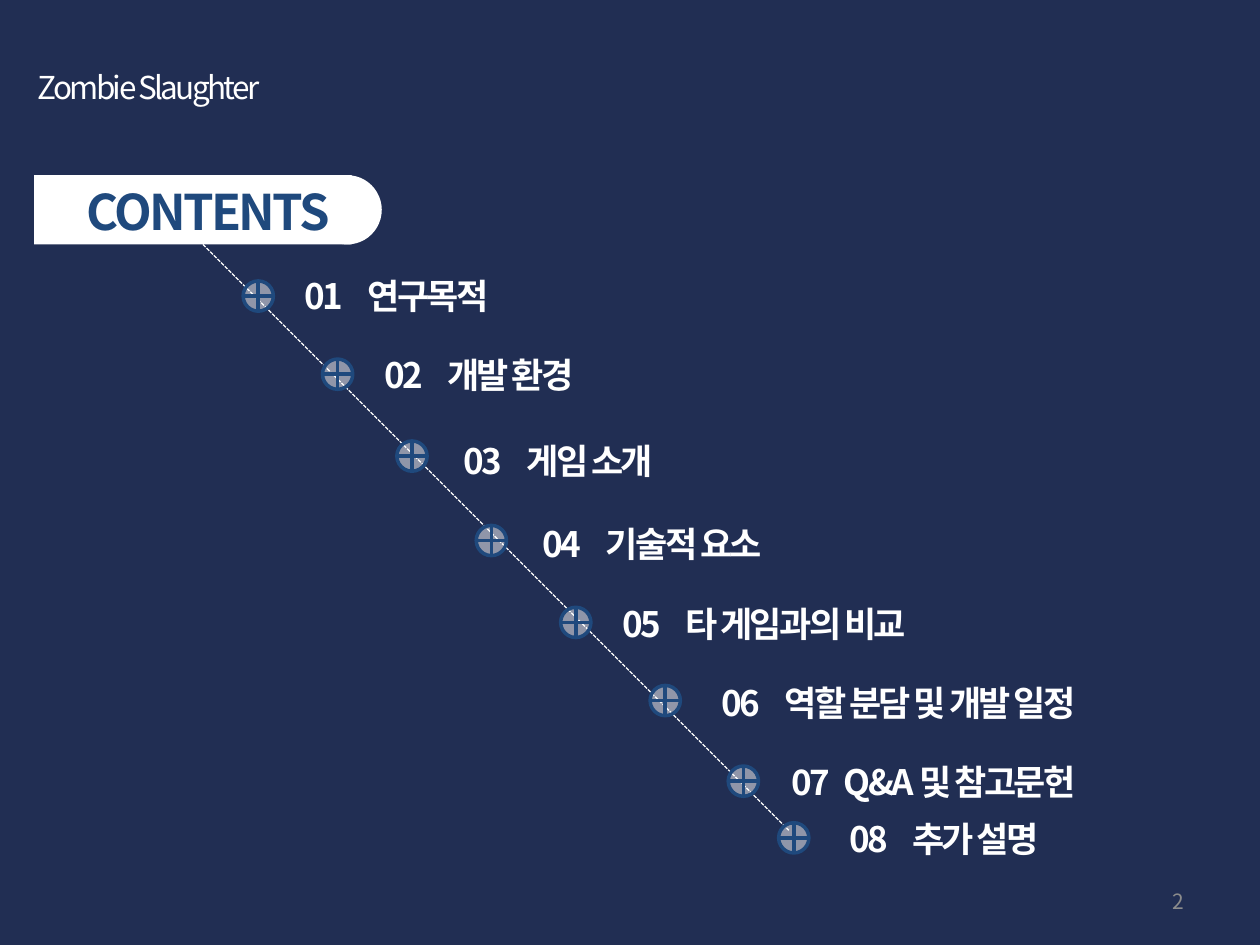
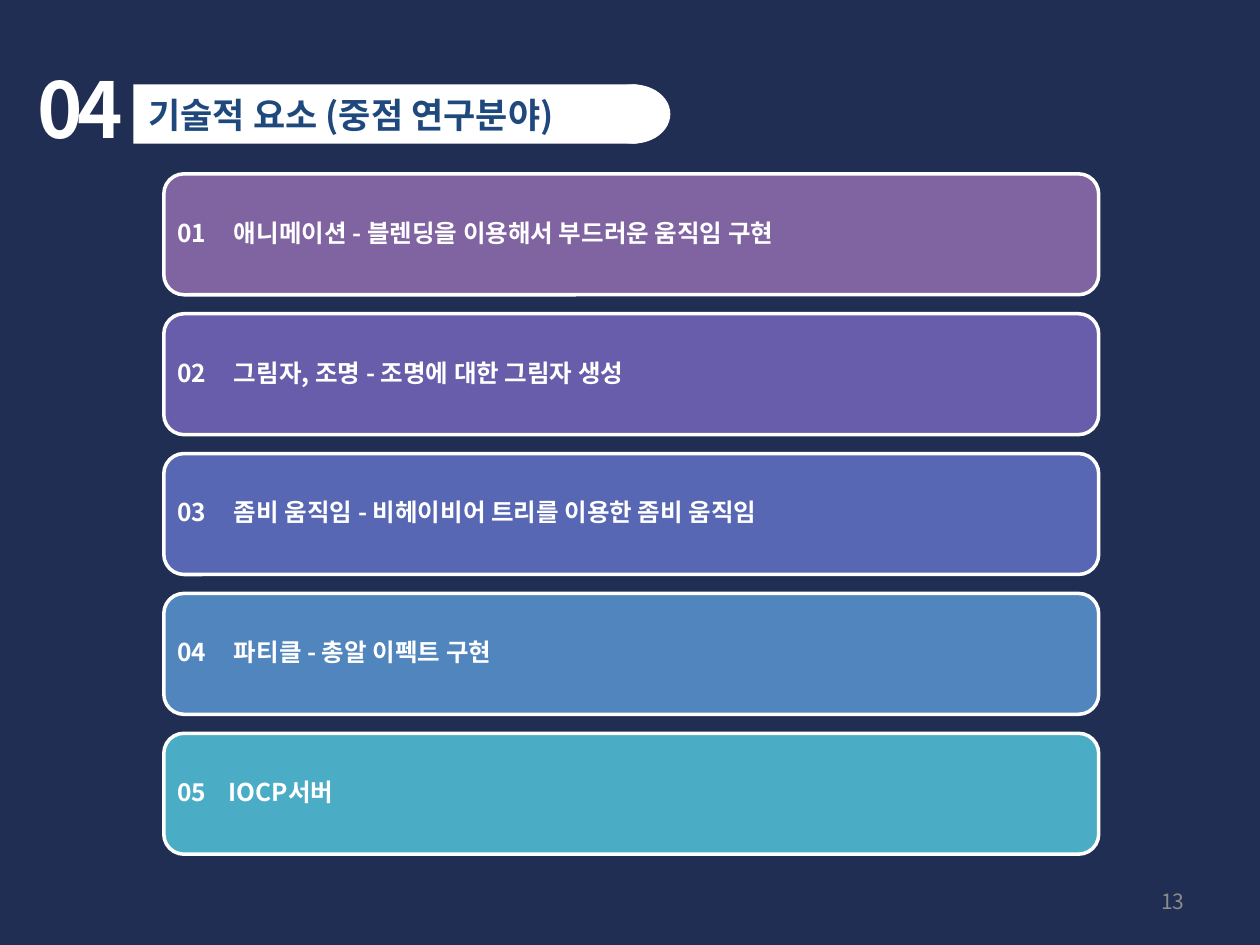
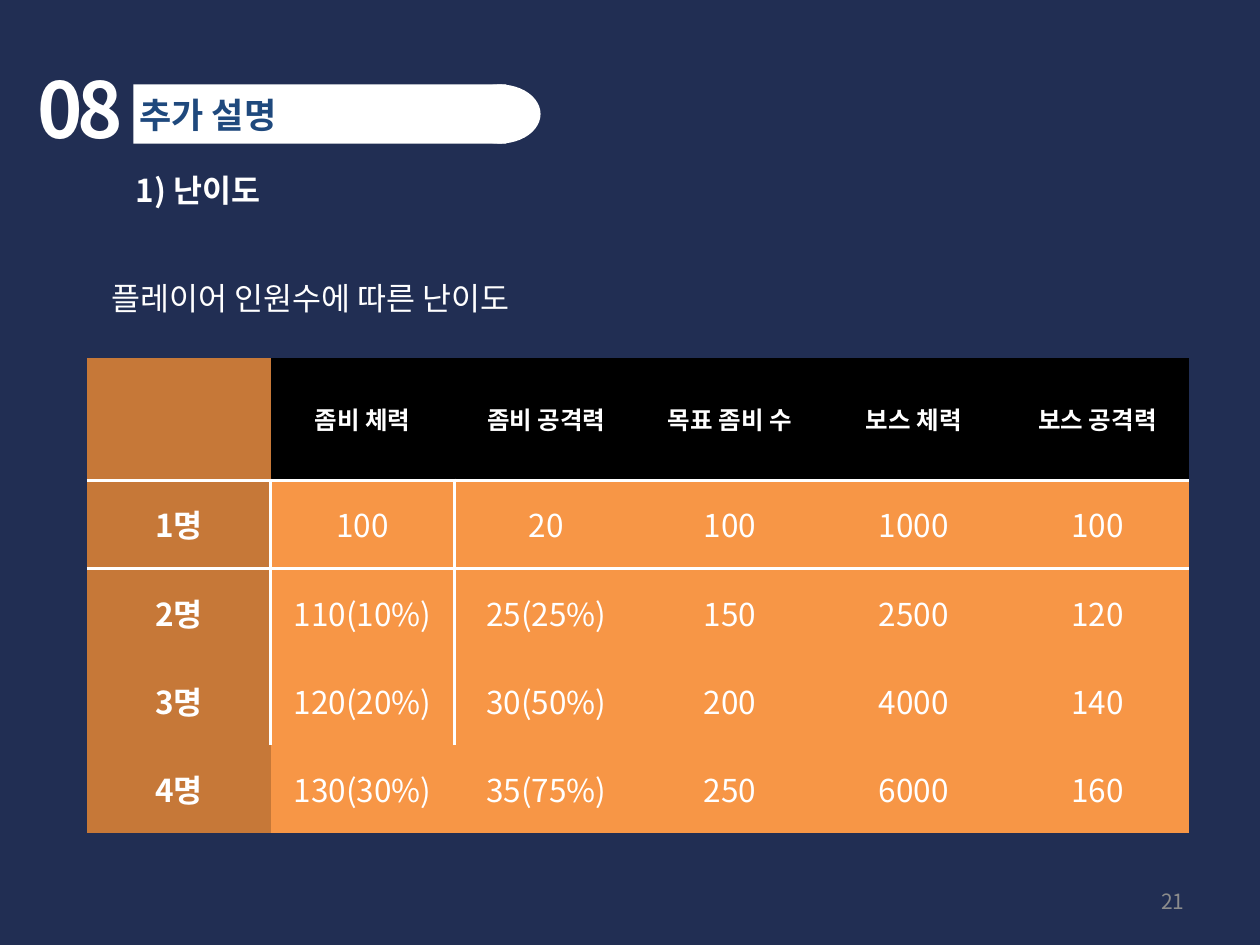
from lxml import etree
from pptx import Presentation
from pptx.dml.color import RGBColor
from pptx.enum.dml import MSO_LINE_DASH_STYLE as Dash
from pptx.enum.shapes import MSO_CONNECTOR as Connector, MSO_SHAPE as Shape
from pptx.enum.text import MSO_ANCHOR as Anchor, PP_ALIGN as Align
from pptx.oxml.ns import qn
from pptx.util import Inches, Pt

COLORS = {
    "navy": "212E53", "white": "FFFFFF", "blue": "1F497D", "gray": "8C8C8C",
    "purple": "8064A2", "violet": "685DAB", "indigo": "5767B4",
    "sky": "5185BD", "teal": "4BACC6",
    "black": "000000", "brown": "C67838", "orange": "F79646",
}
FONT = "Noto Sans CJK KR"
NO_TABLE_STYLE = "{2D5ABB26-0587-4C30-8999-92F81FD0307C}"


def rgb(name):
    return RGBColor.from_string(COLORS[name])


class Deck:
    """Holds the shared style and the slide being drawn."""

    def __init__(self):
        self.deck = Presentation()
        self.deck.slide_width, self.deck.slide_height = Inches(10), Inches(7.5)
        self.page = None

    def new_page(self, number):
        self.page = self.deck.slides.add_slide(self.deck.slide_layouts[6])
        fill = self.page.background.fill
        fill.solid()
        fill.fore_color.rgb = rgb("navy")
        self.text(7.17, 6.95, 2.33, 0.4, str(number), 12, "gray",
                  align=Align.RIGHT, anchor=Anchor.MIDDLE)

    def add_words(self, frame, words, size, color="white", bold=False, spacing=0,
                  align=Align.LEFT, tab=None, line_spacing=None):
        """Fill a text frame; a tab stop sets the gap after a leading number."""
        para = frame.paragraphs[0]
        para.alignment = align
        if line_spacing:
            para.line_spacing = line_spacing
        if tab:
            stops = etree.SubElement(para._p.get_or_add_pPr(), qn("a:tabLst"))
            etree.SubElement(stops, qn("a:tab"), pos=str(Inches(tab)), algn="l")
        span = para.add_run()
        span.text = words
        span.font.size, span.font.bold = Pt(size), bold
        span.font.color.rgb = rgb(color)
        span.font.name = FONT
        props = span._r.get_or_add_rPr()
        etree.SubElement(props, qn("a:ea"), typeface=FONT)
        if spacing:
            props.set("spc", str(int(spacing * 100)))

    def text(self, left, top, width, height, words, size, color="white",
             anchor=Anchor.TOP, wrap=True, **style):
        box = self.page.shapes.add_textbox(
            Inches(left), Inches(top), Inches(width), Inches(height))
        box.text_frame.word_wrap = wrap
        box.text_frame.vertical_anchor = anchor
        self.add_words(box.text_frame, words, size, color, **style)

    def shape(self, kind, left, top, width, height, fill, line=None, alpha=None):
        shape = self.page.shapes.add_shape(
            kind, Inches(left), Inches(top), Inches(width), Inches(height))
        shape.shadow.inherit = False
        shape.fill.solid()
        shape.fill.fore_color.rgb = rgb(fill)
        if alpha:
            color = shape._element.spPr.find(f"{qn('a:solidFill')}/{qn('a:srgbClr')}")
            etree.SubElement(color, qn("a:alpha"), val=str(alpha * 1000))
        if line:
            shape.line.color.rgb = rgb(line)
            shape.line.width = Pt(2)
        else:
            shape.line.fill.background()
        return shape

    def pill(self, left, top, body, cap_left, cap, height):
        """White band, square on the left and round on the right."""
        self.shape(Shape.RECTANGLE, left, top, body, height, "white")
        self.shape(Shape.OVAL, cap_left, top, cap, height, "white")

    def heading(self, number, title, body, cap_left, cap, text_left):
        self.text(0.2, 0.44, 1.1, 0.84, number, 44, bold=True, spacing=-3)
        self.pill(1.06, 0.67, body, cap_left, cap, 0.47)
        self.text(text_left, 0.69, body, 0.44, title, 20, "blue", bold=True)

    def dashed_line(self, x1, y1, x2, y2):
        line = self.page.shapes.add_connector(
            Connector.STRAIGHT, Inches(x1), Inches(y1), Inches(x2), Inches(y2))
        line.line.color.rgb = rgb("white")
        line.line.width = Pt(0.75)
        line.line.dash_style = Dash.SQUARE_DOT
        etree.SubElement(line._element.spPr, qn("a:effectLst"))

    def bar(self, top, words, fill, tab):
        bar = self.shape(Shape.ROUNDED_RECTANGLE, 1.3, top, 7.42, 0.96, fill, "white")
        frame = bar.text_frame
        frame.word_wrap = True
        frame.vertical_anchor = Anchor.MIDDLE
        frame.margin_left = frame.margin_right = Inches(0.06)
        frame.margin_top = frame.margin_bottom = Inches(0.06)
        self.add_words(frame, words, 14, bold=True, tab=tab, line_spacing=0.9)

    def cell(self, cell, words, fill, size, bold, borders):
        cell.vertical_anchor = Anchor.MIDDLE
        if words:
            self.add_words(cell.text_frame, words, size, bold=bold, align=Align.CENTER)
        props = cell._tc.get_or_add_tcPr()
        for side in borders:
            edge = etree.SubElement(props, qn(f"a:ln{side}"), w=str(Pt(2)))
            solid = etree.SubElement(edge, qn("a:solidFill"))
            etree.SubElement(solid, qn("a:srgbClr"), val=COLORS["white"])
        cell.fill.solid()
        cell.fill.fore_color.rgb = rgb(fill)

    def table(self, left, top, width, heights, rows):
        table = self.page.shapes.add_table(
            len(rows), len(rows[0]), Inches(left), Inches(top),
            Inches(width), Inches(sum(heights))).table
        table.first_row = table.horz_banding = False
        table._tbl.tblPr.find(qn("a:tableStyleId")).text = NO_TABLE_STYLE
        last = len(rows) - 1
        for r, (height, row) in enumerate(zip(heights, rows)):
            table.rows[r].height = Inches(height)
            for c, words in enumerate(row):
                head, side = r == 0, c == 0
                fill = "brown" if side else "black" if head else "orange"
                # Sides in schema order: left, right, top, bottom
                borders = []
                if 0 < r < last and c < 2:
                    borders.append("R" if side else "L")
                if r < 2:
                    borders.append("B" if head else "T")
                self.cell(table.cell(r, c), words, fill, 14 if head else 18,
                          head or side, borders)


def contents_page(deck):
    deck.new_page(2)
    deck.text(0.2, 0.49, 6.77, 0.4, "Zombie Slaughter", 18, spacing=-1.5)
    deck.pill(0.27, 1.39, 2.52, 2.48, 0.55, 0.55)
    deck.text(0.59, 1.39, 2.52, 0.57, "CONTENTS", 28, "blue", bold=True, spacing=-1.5)
    deck.dashed_line(1.61, 1.94, 6.26, 6.59)
    # Chapter, dot left and top, label left and top, gap after the number
    chapters = [
        ("연구목적", 1.93, 2.23, 2.32, 2.13, 0.5),
        ("개발 환경", 2.56, 2.85, 2.95, 2.76, 0.5),
        ("게임 소개", 3.15, 3.5, 3.58, 3.44, 0.5),
        ("기술적 요소", 3.78, 4.17, 4.21, 4.1, 0.5),
        ("타 게임과의 비교", 4.45, 4.82, 4.84, 4.73, 0.5),
        ("역할 분담 및 개발 일정", 5.16, 5.44, 5.63, 5.36, 0.5),
        ("Q&A 및 참고문헌", 5.78, 6.08, 6.18, 5.99, 0.42),
        ("추가 설명", 6.18, 6.53, 6.64, 6.44, 0.5),
    ]
    for number, (title, dot_x, dot_y, x, y, gap) in enumerate(chapters, 1):
        deck.shape(Shape.FLOWCHART_OR, dot_x, dot_y, 0.24, 0.24, "white", "blue", alpha=50)
        deck.text(x, y, 4.1, 0.44, f"{number:02}\t{title}", 20,
                  bold=True, spacing=-1.5, tab=gap)


def technology_page(deck):
    deck.new_page(13)
    deck.heading("04", "기술적 요소 (중점 연구분야)", 4, 4.73, 0.59, 1.08)
    topics = [
        ("애니메이션 - 블렌딩을 이용해서 부드러운 움직임 구현", "purple", 0.45),
        ("그림자, 조명 - 조명에 대한 그림자 생성", "violet", 0.45),
        ("좀비 움직임 - 비헤이비어 트리를 이용한 좀비 움직임", "indigo", 0.45),
        ("파티클 - 총알 이펙트 구현", "sky", 0.45),
        ("IOCP서버", "teal", 0.41),
    ]
    for index, (topic, fill, gap) in enumerate(topics):
        deck.bar(1.38 + 1.11 * index, f"{index + 1:02}\t{topic}", fill, gap)


def difficulty_page(deck):
    deck.new_page(21)
    deck.heading("08", "추가 설명", 2.96, 3.64, 0.65, 1.01)
    deck.text(0.98, 1.31, 1.29, 0.4, "1) 난이도", 18, bold=True, wrap=False)
    deck.text(0, 2.19, 4.93, 0.35, "플레이어 인원수에 따른 난이도", 18,
              align=Align.CENTER, anchor=Anchor.MIDDLE)
    deck.table(0.69, 2.84, 8.75, [0.97] + [0.7] * 4, [
        ["", "좀비 체력", "좀비 공격력", "목표 좀비 수", "보스 체력", "보스 공격력"],
        ["1명", "100", "20", "100", "1000", "100"],
        ["2명", "110(10%)", "25(25%)", "150", "2500", "120"],
        ["3명", "120(20%)", "30(50%)", "200", "4000", "140"],
        ["4명", "130(30%)", "35(75%)", "250", "6000", "160"],
    ])


def main():
    deck = Deck()
    contents_page(deck)
    technology_page(deck)
    difficulty_page(deck)
    deck.deck.save("out.pptx")


if __name__ == "__main__":
    main()
